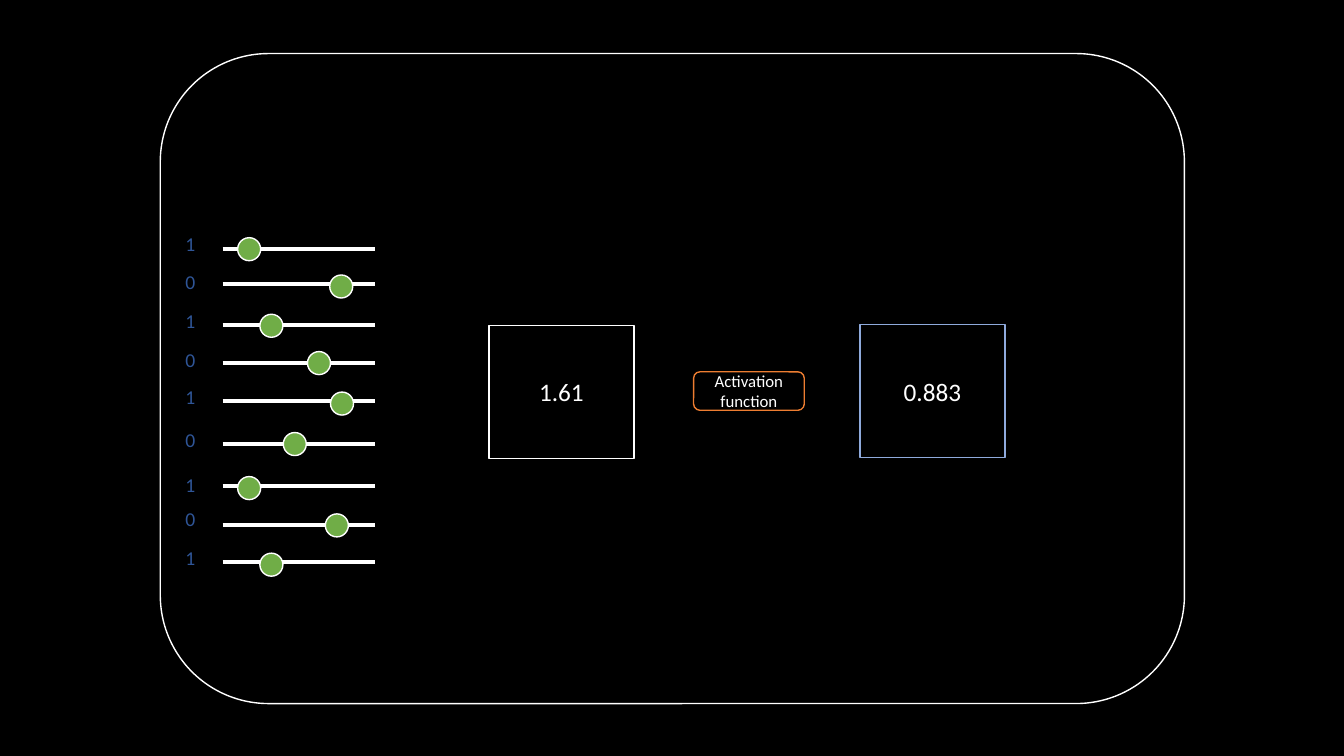
"""Build a slide of weighted inputs passing through an activation function."""
from lxml import etree
from pptx import Presentation
from pptx.dml.color import RGBColor
from pptx.enum.shapes import MSO_CONNECTOR, MSO_SHAPE
from pptx.enum.text import MSO_ANCHOR, MSO_AUTO_SIZE, PP_ALIGN
from pptx.oxml.ns import qn
from pptx.util import Cm, Pt

BLACK = RGBColor(0x00, 0x00, 0x00)
WHITE = RGBColor(0xFF, 0xFF, 0xFF)
GREEN = RGBColor(0x70, 0xAD, 0x47)
NAVY = RGBColor(0x2F, 0x55, 0x97)
LIGHT_BLUE = RGBColor(0x8F, 0xAA, 0xDC)
ORANGE = RGBColor(0xED, 0x7D, 0x31)
RECTANGLE = MSO_SHAPE.RECTANGLE
ROUNDED = MSO_SHAPE.ROUNDED_RECTANGLE
KNOB = MSO_SHAPE.FLOWCHART_CONNECTOR
STRAIGHT = MSO_CONNECTOR.STRAIGHT
MIDDLE = MSO_ANCHOR.MIDDLE
CENTER = PP_ALIGN.CENTER
FIT_SHAPE = MSO_AUTO_SIZE.SHAPE_TO_FIT_TEXT

TRACK_LEFT, TRACK_RIGHT = 5.61, 9.45
KNOB_SIZE = 0.58

deck = Presentation()
deck.slide_width, deck.slide_height = Cm(33.87), Cm(19.05)
page = deck.slides.add_slide(deck.slide_layouts[6])
page.background.fill.solid()
page.background.fill.fore_color.rgb = BLACK


def add_outlined(kind, left, top, width, height, line_color, fill_color=None):
    shape = page.shapes.add_shape(kind, Cm(left), Cm(top), Cm(width), Cm(height))
    shape.shadow.inherit = False
    shape.line.color.rgb = line_color
    shape.line.width = Pt(1)
    if fill_color is None:
        shape.fill.background()
    else:
        shape.fill.solid()
        shape.fill.fore_color.rgb = fill_color
    return shape


def write(shape, text, size, color):
    shape.text_frame.text = text
    font = shape.text_frame.paragraphs[0].runs[0].font
    font.name, font.size, font.color.rgb = "Calibri", Pt(size), color


add_outlined(ROUNDED, 4.04, 1.35, 25.81, 16.38, WHITE)

sliders = [
    ("1", 5.72, 6.27, 5.99, 5.99),
    ("0", 6.68, 7.16, 8.31, 6.93),
    ("1", 7.65, 8.20, 6.55, 7.92),
    ("0", 8.64, 9.14, 7.75, 8.86),
    ("1", 9.58, 10.11, 8.33, 9.88),
    ("0", 10.67, 11.18, 7.14, 10.90),
    ("1", 11.79, 12.24, 5.99, 12.01),
    ("0", 12.65, 13.23, 8.20, 12.95),
    ("1", 13.64, 14.17, 6.55, 13.94),
]
for digit, digit_top, track_y, knob_left, knob_top in sliders:
    track = page.shapes.add_connector(
        STRAIGHT, Cm(TRACK_LEFT), Cm(track_y), Cm(TRACK_RIGHT), Cm(track_y)
    )
    track.line.color.rgb = WHITE
    track.line.width = Pt(3)
    etree.SubElement(track._element.spPr, qn("a:effectLst"))

    add_outlined(KNOB, knob_left, knob_top, KNOB_SIZE, KNOB_SIZE, WHITE, GREEN)

    box = page.shapes.add_textbox(Cm(4.42), Cm(digit_top), Cm(0.84), Cm(0.86))
    write(box, digit, 14, NAVY)
    box.text_frame.word_wrap = True
    box.text_frame.auto_size = FIT_SHAPE

stages = [
    ("1.61", 18, RECTANGLE, 12.32, 8.20, 3.66, 3.35, WHITE, BLACK),
    ("0.883", 18, RECTANGLE, 21.67, 8.18, 3.66, 3.35, LIGHT_BLUE, BLACK),
    ("Activation function", 12, ROUNDED, 17.48, 9.37, 2.79, 0.97, ORANGE, None),
]
for text, size, kind, left, top, width, height, line_color, fill_color in stages:
    stage = add_outlined(kind, left, top, width, height, line_color, fill_color)
    write(stage, text, size, WHITE)
    stage.text_frame.word_wrap = True
    stage.text_frame.vertical_anchor = MIDDLE
    stage.text_frame.paragraphs[0].alignment = CENTER

deck.save("out.pptx")
